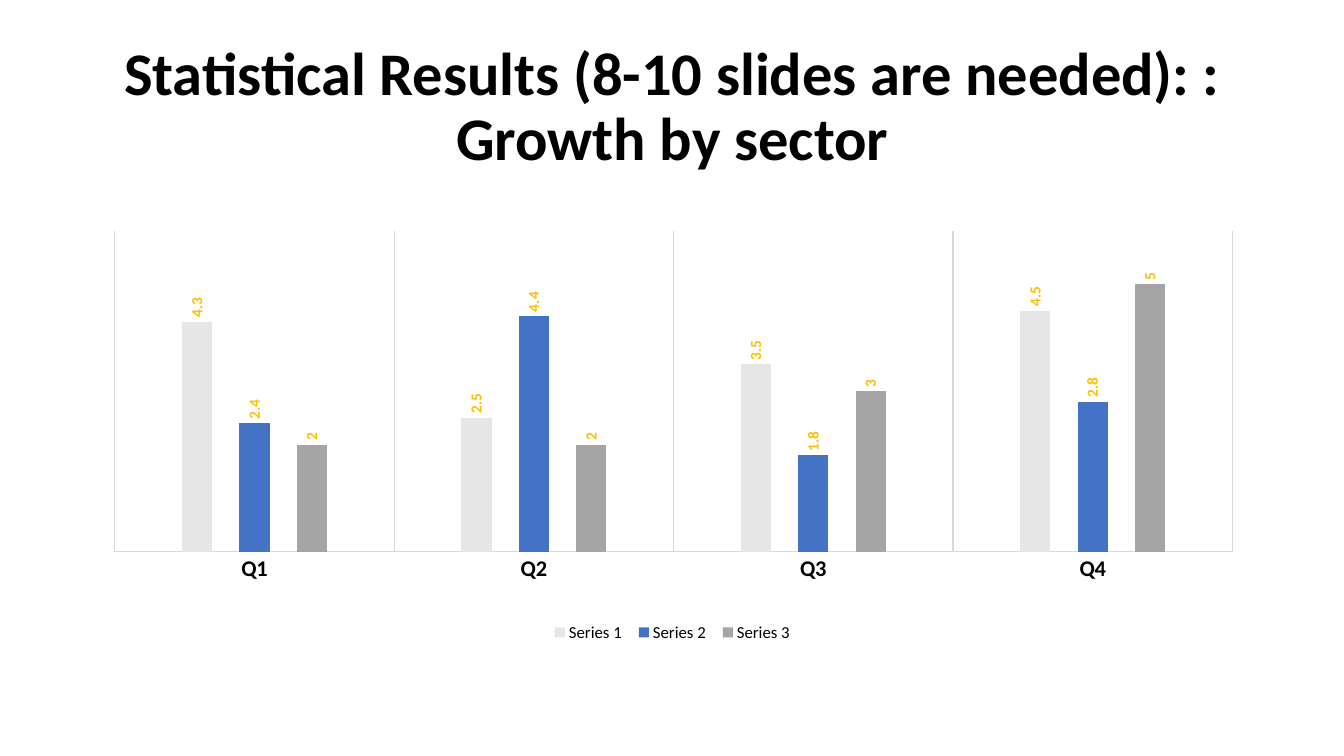
from lxml import etree
from pptx import Presentation
from pptx import util as u
from pptx.chart.data import CategoryChartData
from pptx.dml.color import RGBColor
from pptx.enum import chart as ch
from pptx.enum import text as t
from pptx.oxml.ns import qn

WIDTH, HEIGHT = u.Inches(13.33), u.Inches(7.5)
FONT = "Calibri"
BLACK, RULE, GOLD = "000000", "D9D9D9", "FFC000"
QUARTERS = ["Q1", "Q2", "Q3", "Q4"]
SECTORS = [
    ("Series 1", "E7E6E6", (4.3, 2.5, 3.5, 4.5)),
    ("Series 2", "4472C4", (2.4, 4.4, 1.8, 2.8)),
    ("Series 3", "A5A5A5", (2, 2, 3, 5)),
]


def color(target, value):
    target.rgb = RGBColor.from_string(value)


def style_font(font, size, value=BLACK, bold=False):
    font.name, font.size, font.bold = FONT, u.Pt(size), bold
    color(font.color, value)


def style_rule(line):
    color(line.color, RULE)
    line.width = u.Pt(0.75)


def place(element, position, *shares, inner=False):
    for previous in element.findall(qn("c:layout")):
        element.remove(previous)
    layout = etree.Element(qn("c:layout"))
    manual = etree.SubElement(layout, qn("c:manualLayout"))
    settings = [("layoutTarget", "inner")] if inner else []
    settings += [("xMode", "edge"), ("yMode", "edge"), *zip("xywh", shares)]
    for tag, value in settings:
        etree.SubElement(manual, qn(f"c:{tag}")).set("val", str(value))
    element.insert(position, layout)


def add_title(slide, wording):
    title = slide.shapes.title
    title.left, title.top = int(WIDTH * 0.069), int(HEIGHT * 0.092)
    title.width, title.height = u.Inches(11.5), u.Inches(0.77)
    frame = title.text_frame
    frame.text = wording
    frame.word_wrap = True
    frame.auto_size = t.MSO_AUTO_SIZE.NONE
    frame.vertical_anchor = t.MSO_ANCHOR.MIDDLE
    heading = frame.paragraphs[0]
    heading.alignment = t.PP_ALIGN.CENTER
    heading.line_spacing = 0.9
    style_font(heading.font, 43.2, bold=True)


def style_axes(chart):
    quarters, growth = chart.category_axis, chart.value_axis
    quarters.major_tick_mark = quarters.minor_tick_mark = ch.XL_TICK_MARK.NONE
    quarters.has_major_gridlines = True
    style_rule(quarters.major_gridlines.format.line)
    style_rule(quarters.format.line)
    style_font(quarters.tick_labels.font, 16, bold=True)
    growth.minimum_scale, growth.maximum_scale = 0, 6
    growth.has_major_gridlines = False
    growth.visible = False


def style_sector(sector, fill):
    sector.format.fill.solid()
    color(sector.format.fill.fore_color, fill)
    sector.invert_if_negative = False
    labels = sector.data_labels
    labels.show_value = True
    labels.position = ch.XL_LABEL_POSITION.OUTSIDE_END
    style_font(labels.font, 11, GOLD, bold=True)
    labels._element.find(qn("c:txPr")).find(qn("a:bodyPr")).set("rot", "-5400000")


def add_growth_chart(slide):
    growth = CategoryChartData()
    growth.categories = QUARTERS
    for name, _, values in SECTORS:
        growth.add_series(name, values)
    chart = slide.shapes.add_chart(
        ch.XL_CHART_TYPE.COLUMN_CLUSTERED, int(WIDTH * 0.0645), int(HEIGHT * 0.2853),
        u.Inches(11.62), u.Inches(4.47), growth).chart
    style_font(chart.font, 10)
    chart.has_title = False
    style_axes(chart)
    columns = chart.plots[0]
    columns.gap_width, columns.overlap = 444, -90
    columns.vary_by_categories = False
    for sector, (_, fill, _) in zip(columns.series, SECTORS):
        style_sector(sector, fill)
    chart.has_legend = True
    legend = chart.legend
    legend.position = ch.XL_LEGEND_POSITION.BOTTOM
    legend.include_in_layout = False
    style_font(legend.font, 12)
    place(legend._element, 1, 0.39, 0.9, 0.22, 0.05)
    plot_area = chart._chartSpace.chart.plotArea
    place(plot_area, 0, 0.024, 0.033, 0.954, 0.713, inner=True)


def main():
    deck = Presentation()
    deck.slide_width, deck.slide_height = WIDTH, HEIGHT
    slide = deck.slides.add_slide(deck.slide_layouts[5])
    add_title(slide, "Statistical Results (8-10 slides are needed): : Growth by sector")
    add_growth_chart(slide)
    deck.save("out.pptx")


if __name__ == "__main__":
    main()
